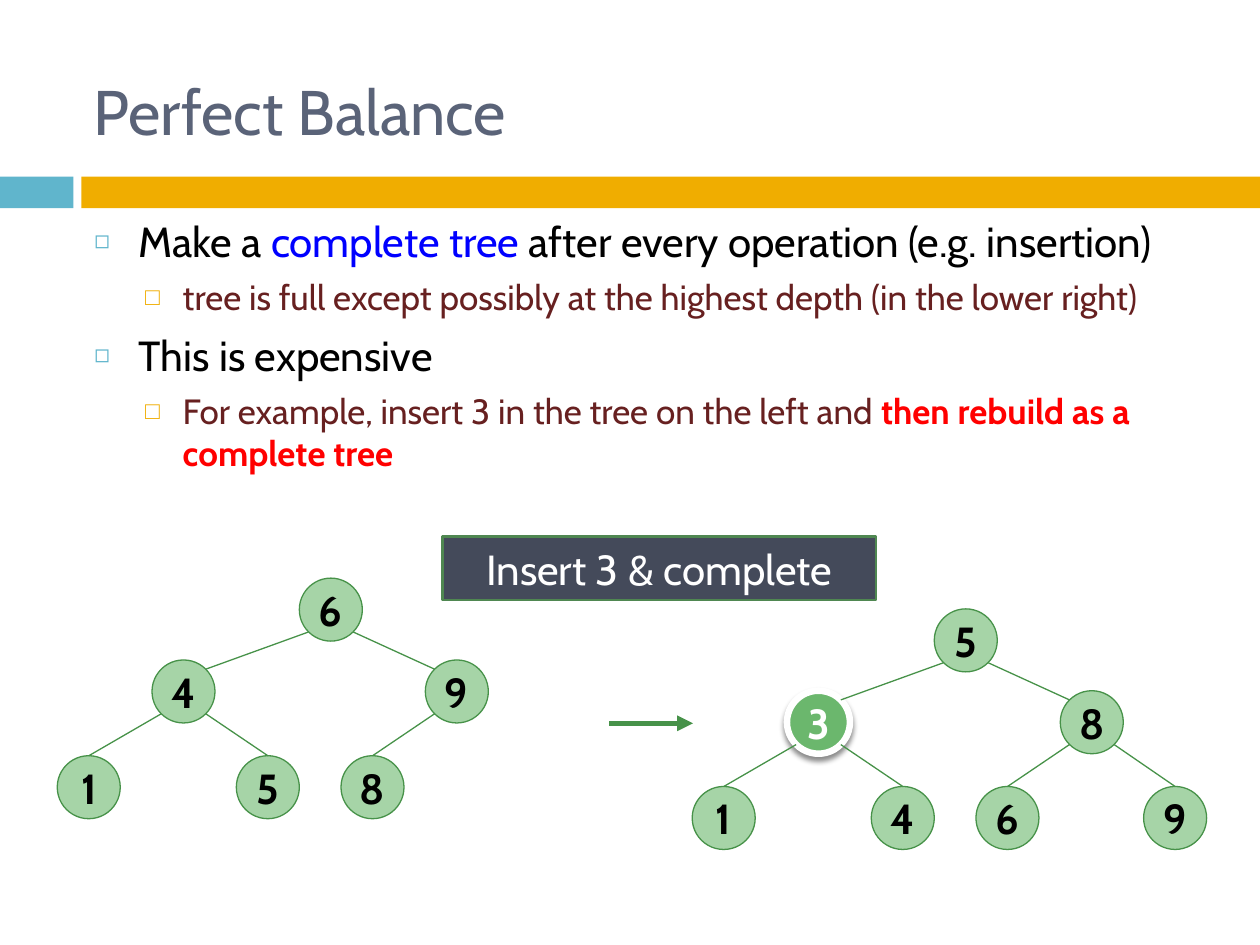
from lxml import etree
from pptx import Presentation
from pptx.dml.color import RGBColor
from pptx.enum.shapes import MSO_CONNECTOR, MSO_SHAPE
from pptx.enum.text import MSO_ANCHOR, PP_ALIGN
from pptx.oxml.ns import qn
from pptx.util import Cm, Pt

RECT, OVAL = MSO_SHAPE.RECTANGLE, MSO_SHAPE.OVAL
LINE = MSO_CONNECTOR.STRAIGHT
LEFT, MID = PP_ALIGN.LEFT, PP_ALIGN.CENTER
TOP, CORE = MSO_ANCHOR.TOP, MSO_ANCHOR.MIDDLE

HUES = {
    "sky": "60B5CC", "gold": "F0AD00", "slate": "5A6378", "dark": "444A5A",
    "black": "000000", "white": "FFFFFF", "blue": "0000FF", "wine": "672020",
    "red": "FF0000", "mint": "A6D4A7", "leaf": "6BB76D", "green": "479249",
    "moss": "4F8751",
}

# Bullet levels: left margin and hang in cm, space before and size in points
LEVELS = [
    {"left": 0.89, "hang": 0.89, "gap": 7, "size": 24,
     "mark": "◻", "hue": "sky", "part": 60},
    {"left": 1.78, "hang": 0.76, "gap": 5.5, "size": 20,
     "mark": "□", "hue": "gold", "part": 70},
]
POINTS = [
    (0, [("Make a ", "black", False), ("complete tree", "blue", False),
         (" after every operation (e.g. insertion)", "black", False)]),
    (1, [("tree is full except possibly at the highest depth "
          "(in the lower right)", "wine", False)]),
    (0, [("This is expensive", "black", False)]),
    (1, [("For example, insert 3 in the tree on the left and ", "wine", False),
         ("then rebuild as a complete tree", "red", True)]),
]

# Node centres relative to the root, level by level, in cm
SLOTS = [(0, 0), (-2.97, 1.65), (2.54, 1.65),
         (-4.88, 3.58), (-1.27, 3.58), (0.84, 3.58), (4.22, 3.58)]
SIZE = 1.27
RIM = SIZE / 2
DIAG = RIM * 0.71


def rgb(hue):
    return RGBColor.from_string(HUES[hue])


def apply(item, **values):
    for name, value in values.items():
        setattr(item, name, value)


def add_xml(base, tag, **attrs):
    return etree.SubElement(base, qn(tag), attrs)


def place(shape, x, y, wide, high):
    apply(shape, left=Cm(x), top=Cm(y), width=Cm(wide), height=Cm(high))


def write(para, text, size, hue, bold=False):
    run = para.add_run()
    run.text = text
    apply(run.font, name="Cabin", size=Pt(size), bold=bold)
    run.font.color.rgb = rgb(hue)


def add_box(slide, kind, spot, fill, edge=None, width=0.75):
    box = slide.shapes.add_shape(kind, *map(Cm, spot))
    box.fill.solid()
    box.fill.fore_color.rgb = rgb(fill)
    if edge:
        box.line.color.rgb = rgb(edge)
        box.line.width = Pt(width)
    else:
        box.line.fill.background()
    box.shadow.inherit = False
    return box


def label(box, text, hue, bold, wrap):
    frame = box.text_frame
    apply(frame, word_wrap=wrap, vertical_anchor=CORE)
    para = frame.paragraphs[0]
    para.alignment = MID
    write(para, text, 24, hue, bold)


def add_line(slide, start, end, width=0.75, arrow=False):
    line = slide.shapes.add_connector(LINE, *map(Cm, (*start, *end)))
    line.line.color.rgb = rgb("green")
    line.line.width = Pt(width)
    if arrow:
        add_xml(line.line._get_or_add_ln(), "a:tailEnd", type="triangle")
    add_xml(line._element.spPr, "a:effectLst")


def add_glow(box):
    effects = box._element.spPr.find(qn("a:effectLst"))
    shade = add_xml(effects, "a:outerShdw", blurRad=str(Pt(3)),
                    dist=str(Pt(2.4)), dir="5400000", rotWithShape="0")
    tint = add_xml(shade, "a:srgbClr", val=HUES["black"])
    add_xml(tint, "a:alpha", val="45000")


def add_node(slide, x, y, key, is_new):
    spot = (x - RIM, y - RIM, SIZE, SIZE)
    if is_new:
        node = add_box(slide, OVAL, spot, "leaf", "white", 3.75)
        add_glow(node)
    else:
        node = add_box(slide, OVAL, spot, "mint", "green")
    label(node, key, "white" if is_new else "black", True, False)


def add_tree(slide, x, y, keys, new=None):
    spots = [(x + dx, y + dy) for dx, dy in SLOTS[:len(keys)]]
    for spot, key in zip(spots, keys):
        add_node(slide, *spot, key, key == new)
    # Each child hangs from the lower side of its parent
    for i, (cx, cy) in enumerate(spots[1:], 1):
        px, py = spots[(i - 1) // 2]
        side = -DIAG if i % 2 else DIAG
        end = (cx - side, cy - DIAG) if i < 3 else (cx, cy - RIM)
        add_line(slide, (px + side, py + DIAG), end)


def fill_title(title):
    place(title, 1.63, 0.86, 22.66, 2.74)
    frame = title.text_frame
    apply(frame, word_wrap=True, vertical_anchor=CORE)
    para = frame.paragraphs[0]
    para.alignment = LEFT
    write(para, "Perfect Balance", 36, "slate")


def fill_list(body):
    place(body, 1.65, 4.22, 23.29, 5.74)
    frame = body.text_frame
    apply(frame, word_wrap=True, vertical_anchor=TOP)
    for i, (level, runs) in enumerate(POINTS):
        para = frame.add_paragraph() if i else frame.paragraphs[0]
        form = LEVELS[level]
        apply(para, level=level, alignment=LEFT, space_before=Pt(form["gap"]))
        props = para._p.get_or_add_pPr()
        props.set("marL", str(Cm(form["left"])))
        props.set("indent", str(-Cm(form["hang"])))
        tint = add_xml(props, "a:buClr")
        add_xml(tint, "a:srgbClr", val=HUES[form["hue"]])
        add_xml(props, "a:buSzPct", val=str(form["part"] * 1000))
        add_xml(props, "a:buChar", char=form["mark"])
        for text, hue, bold in runs:
            write(para, text, form["size"], hue, bold)


def main():
    deck = Presentation()
    apply(deck, slide_width=Cm(25.4), slide_height=Cm(19.05))
    slide = deck.slides.add_slide(deck.slide_layouts[1])

    # Heading band
    add_box(slide, RECT, (0, 3.56, 1.48, 0.64), "sky")
    add_box(slide, RECT, (1.64, 3.56, 23.76, 0.64), "gold")

    # Title and list
    fill_title(slide.shapes.title)
    fill_list(slide.placeholders[1])

    # Caption
    note = add_box(slide, RECT, (8.92, 10.82, 8.74, 1.28), "dark", "moss", 1.5)
    label(note, "Insert 3 & complete", "white", False, True)

    # Trees before and after, with the arrow between
    add_tree(slide, 6.67, 12.29, "649158")
    add_tree(slide, 19.47, 12.91, "5381469", new="3")
    add_line(slide, (12.28, 14.58), (13.97, 14.58), 3, arrow=True)

    deck.save("out.pptx")


if __name__ == "__main__":
    main()
